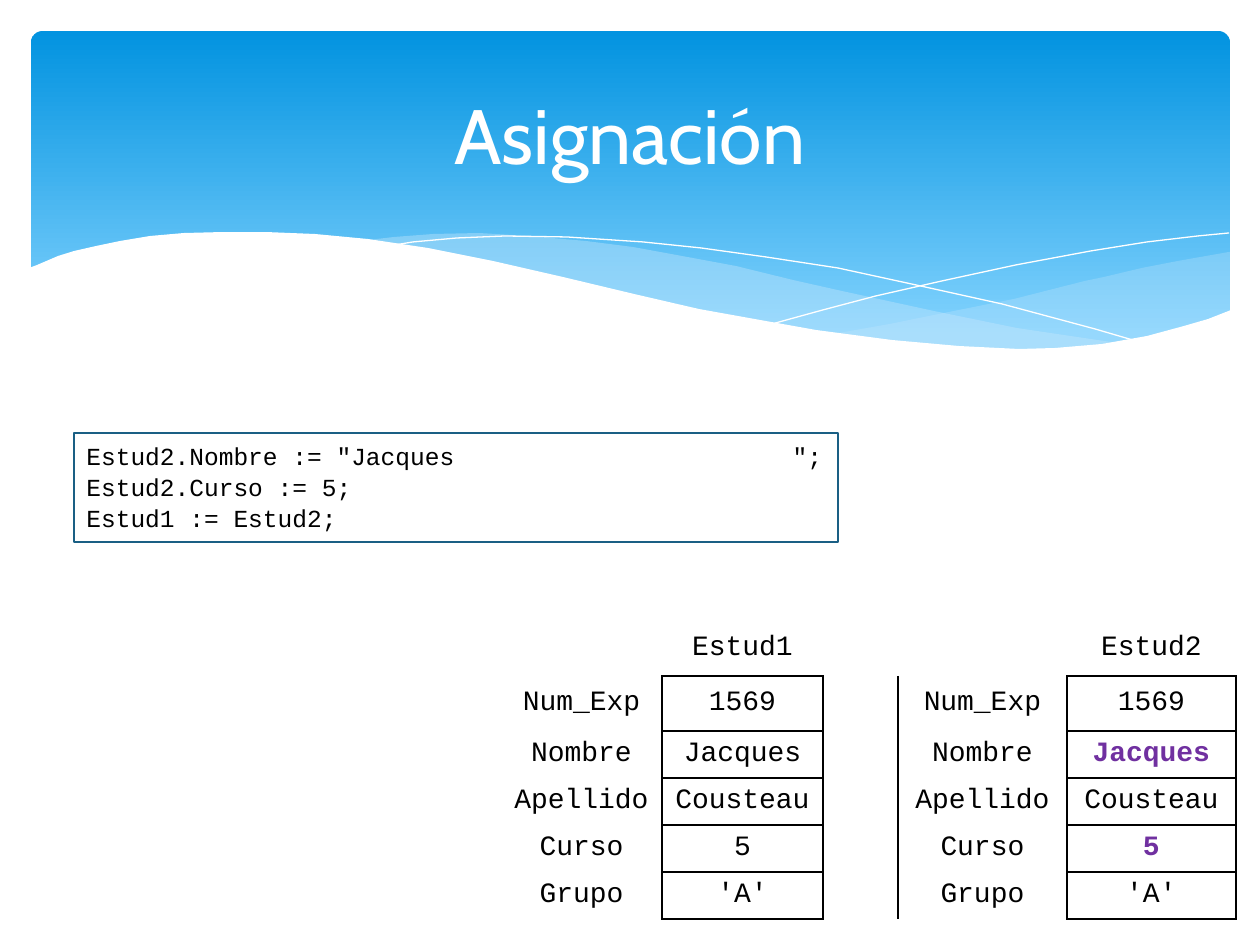
from lxml.etree import SubElement
from pptx import Presentation
from pptx.dml.color import RGBColor
from pptx.enum.shapes import MSO_SHAPE
from pptx.enum.text import MSO_ANCHOR, PP_ALIGN
from pptx.oxml.ns import qn
from pptx.util import Pt

PX = 914400 / 126
COLORS = {
    "white": "FFFFFF", "black": "000000", "sky": "0293E0", "pale": "83D3FE",
    "mist": "C6E7FC", "frame": "1A5F84", "changed": "7030A0",
}


def px(*values):
    return [round(v * PX) for v in values]


def write(tf, text, size=16, font="Courier New", color="black", bold=False,
          align=PP_ALIGN.CENTER, spacing=1.0):
    tf.text = text
    for p in tf.paragraphs:
        p.alignment = align
        p.line_spacing = spacing
        for r in p.runs:
            r.font.size = Pt(size)
            r.font.name = font
            r.font.bold = bold
            r.font.color.rgb = RGBColor.from_string(COLORS[color])


prs = Presentation()
prs.slide_width, prs.slide_height = px(1260, 945)
s = prs.slides.add_slide(prs.slide_layouts[6])

banner = s.shapes.add_shape(MSO_SHAPE.ROUNDED_RECTANGLE, *px(31, 31, 1199, 340))
banner.adjustments[0] = 0.034
banner.shadow.inherit = False
banner.line.fill.background()
banner.fill.gradient()
banner.fill.gradient_angle = 270
for stop, color, pos in zip(banner.fill.gradient_stops, ("sky", "pale"), (0, 0.9)):
    stop.color.rgb = RGBColor.from_string(COLORS[color])
    stop.position = pos

right_wave = [
    (1229, 252), (1212, 255), (1178, 261), (1142, 268), (1104, 277), (1085, 281),
    (1014, 299), (949, 312), (890, 324), (833, 334), (871, 339), (906, 343),
    (954, 348), (1012, 350), (1063, 349), (1110, 344), (1150, 336), (1187, 326),
    (1230, 311), (1230, 252),
]
middle_wave = [
    (1125, 344), (1091, 339), (1017, 328), (934, 311), (842, 291), (793, 280),
    (736, 266), (682, 256), (633, 247), (586, 241), (529, 236), (479, 233),
    (433, 234), (394, 237), (360, 241), (407, 247), (456, 256), (509, 266),
    (566, 280), (668, 302), (736, 318), (799, 329), (857, 338), (910, 345),
    (974, 349), (1031, 350), (1080, 349),
]
falling_line = [
    (389, 246), (413, 242), (457, 238), (505, 236), (567, 237), (643, 242),
    (701, 248), (766, 257), (838, 268), (916, 285), (1002, 304), (1095, 329),
    (1143, 343),
]
rising_line = [
    (772, 324), (823, 310), (876, 296), (942, 281), (1016, 265), (1091, 251),
    (1147, 242), (1198, 236), (1229, 233),
]
white_wave = [
    (1231, 310), (1208, 319), (1184, 326), (1147, 336), (1102, 344), (1055, 348),
    (1019, 349), (959, 346), (892, 340), (816, 330), (760, 320), (699, 309),
    (634, 294), (563, 277), (493, 261), (428, 248), (368, 239), (315, 234),
    (266, 232), (223, 232), (184, 233), (150, 236), (120, 241), (96, 246),
    (74, 251), (58, 256), (37, 265), (29, 268), (29, 415), (1231, 415),
]
for points, fill, alpha in (
    (right_wave, "mist", 29), (middle_wave, "mist", 40),
    (falling_line, None, 100), (rising_line, None, 100), (white_wave, "white", 100),
):
    fb = s.shapes.build_freeform(*points[0], scale=PX)
    fb.add_line_segments(points[1:], close=fill is not None)
    sp = fb.convert_to_shape()
    sp.shadow.inherit = False
    if fill:
        sp.line.fill.background()
        sp.fill.solid()
        sp.fill.fore_color.rgb = RGBColor.from_string(COLORS[fill])
        if alpha < 100:
            clr = sp.fill._xPr.find(".//" + qn("a:srgbClr"))
            SubElement(clr, qn("a:alpha"), val=str(alpha * 1000))
    else:
        sp.fill.background()
        sp.line.color.rgb = RGBColor.from_string(COLORS["white"])
        sp.line.width = Pt(0)

title = s.shapes.add_textbox(*px(63, 47, 1134, 173))
title.text_frame.word_wrap = True
title.text_frame.vertical_anchor = MSO_ANCHOR.MIDDLE
write(title.text_frame, "Asignación", size=44, font="Cabin", color="white")

fields = ["Num_Exp", "Nombre", "Apellido", "Curso", "Grupo"]
values = ["1569", "Jacques", "Cousteau", "5", "'A'"]
rows = [("", "Estud1", "", "", "Estud2")]
rows += [(f, v, "", f, v) for f, v in zip(fields, values)]
widths = [161, 161, 75, 169, 169]
heights = [55, 55, 47, 47, 47, 47]
table = s.shapes.add_table(
    len(rows), len(widths), *px(501, 621, sum(widths), sum(heights))).table
table.first_row = table.horz_banding = False
style = table._tbl.tblPr.find(qn("a:tableStyleId"))
style.text = "{2D5ABB26-0587-4C30-8999-92F81FD0307C}"
for col, w in zip(table.columns, px(*widths)):
    col.width = w
for row, h in zip(table.rows, px(*heights)):
    row.height = h

for i, row in enumerate(rows):
    for j, text in enumerate(row):
        cell = table.cell(i, j)
        cell.margin_top = cell.margin_bottom = 0
        cell.vertical_anchor = MSO_ANCHOR.MIDDLE
        changed = j == 4 and text in ("Jacques", "5")
        write(cell.text_frame, text, color="changed" if changed else "black", bold=changed)
        if j in (1, 4):
            sides = "LRTB" if i else "B"
        else:
            sides = "L" if i and j == 2 else ""
        tcPr = cell._tc.get_or_add_tcPr()
        for side in sides:
            ln = SubElement(tcPr, qn("a:ln" + side), w=str(Pt(1)))
            SubElement(SubElement(ln, qn("a:solidFill")), qn("a:srgbClr"), val=COLORS["black"])
        cell.fill.background()

code = s.shapes.add_textbox(*px(74, 433, 764, 109))
code.line.color.rgb = RGBColor.from_string(COLORS["frame"])
code.line.width = Pt(0.75)
code.text_frame.word_wrap = True
write(code.text_frame,
      'Estud2.Nombre := "Jacques                       ";\n'
      "Estud2.Curso := 5;\n"
      "Estud1 := Estud2;",
      size=14, align=PP_ALIGN.JUSTIFY, spacing=1.06)

prs.save("out.pptx")
